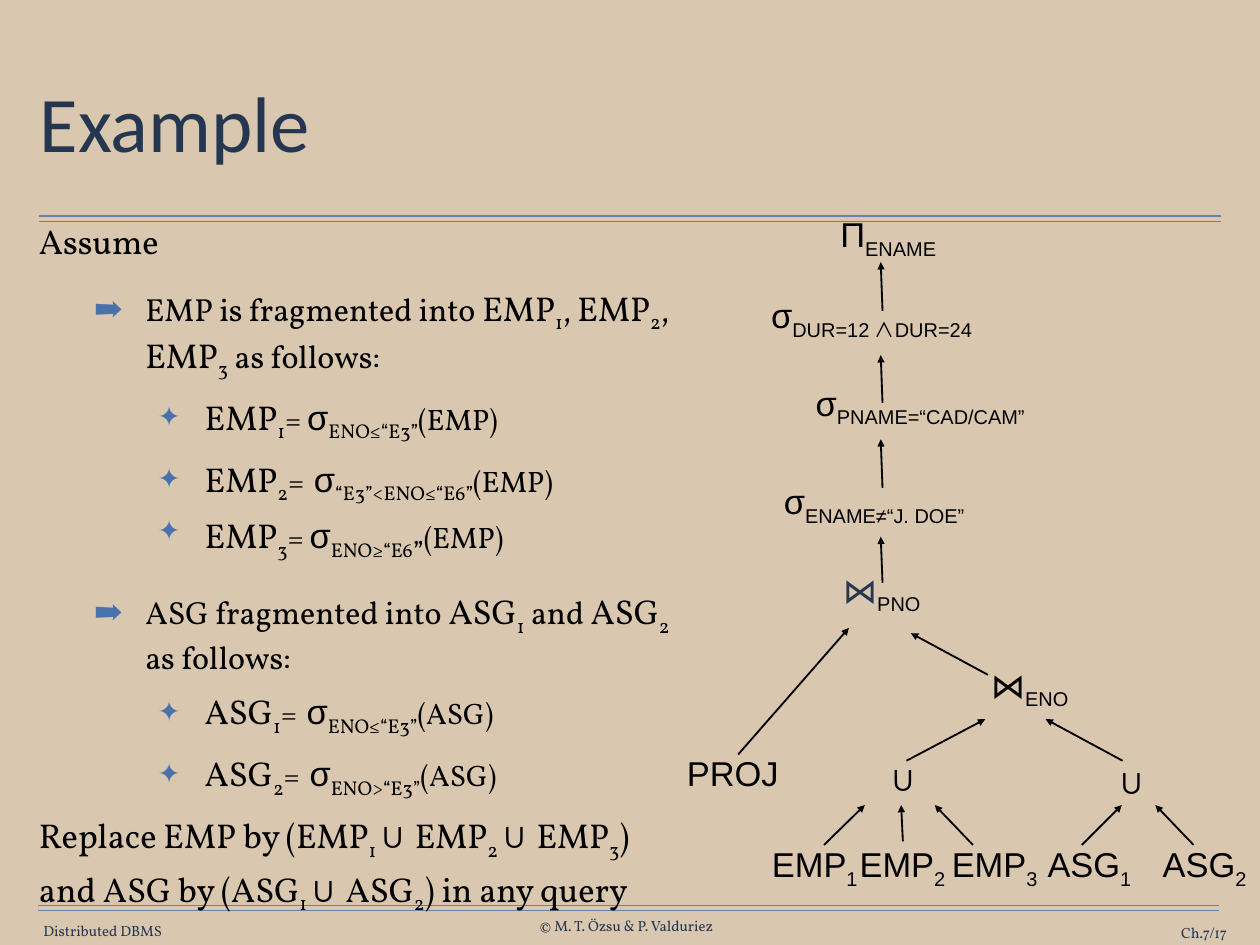
from lxml import etree
from pptx import Presentation
from pptx import util as u
from pptx.dml.color import RGBColor
from pptx.enum import shapes, text
from pptx.oxml import ns

TONES = {"sand": "D9C8AF", "rule": "6682AA", "ink": "263750",
         "title": "253750", "text": "000000", "mark": "4A71A9"}
GLYPHS = {"σ": "Arial", "∪": "Arial", "∧": "Noto Sans CJK JP", "⋈": "Vollkorn"}
SIZES = {0: 28, 1: 26, 2: 24}
INDENTS = {0: (0.4, -0.4), 1: (1.2, -0.57), 2: (1.87, -0.53)}
MARKS = {1: ("➡", 85), 2: ("✦", 80)}
AFTER = {0: 0.2, 1: 7.1, 2: 7.1}

NOTES = [
    (0, "Assume"),
    (1, "-EMP is fragmented into |EMP|_1|-, |EMP|_2|-, |EMP|_3|- as follows:"),
    (2, "EMP|_1|-= |σ|_ENO≤“E3”|-(EMP)"),
    (2, "EMP|_2|-=| σ|_“E3”<ENO≤“E6”|-(EMP)"),
    (2, "EMP|_3|-= |σ|_ENO≥“E6|^”|-(EMP)"),
    (1, "-ASG fragmented into |ASG|_1|- and |ASG|_2|- as follows:"),
    (2, "ASG|_1|-=| σ|_ENO≤“E3”|-(ASG)"),
    (2, "ASG|_2|-=| σ|_ENO>“E3”|-(ASG)"),
    (0, "Replace EMP by (EMP|_1 |∪ |EMP|_2 |∪ |EMP|_3|)"),
    (0, "and ASG by (ASG|_1 |∪ |ASG|_2|) in any query"),
]

NODES = [
    (1.71, 0.07, 1.63, 41.2, "Π|_ENAME"),
    (1.09, 0.98, 2.49, 41.2, "σ|_DUR=12 |_∧|_DUR=24"),
    (1.06, 1.97, 3.65, 41.2, "σ|_PNAME=“CAD/CAM”"),
    (1.2, 3.08, 2.33, 41.2, "σ|_ENAME≠“J. DOE”"),
    (1.96, 4.22, 0.98, 31.3, "⋈|_PNO"),
    (3.6, 5.29, 1.04, 31.3, "⋈|_ENO"),
    (0.24, 6.28, 1.06, 27, "PROJ"),
    (2.54, 6.28, 0.3, 31.3, "∪"),
    (5.12, 6.32, 0.3, 31.3, "∪"),
]
LEAVES = [(1.19, "EMP|_1"), (2.18, "EMP|_2"), (3.22, "EMP|_3"),
          (4.29, "ASG|_1"), (5.59, "ASG|_2")]
CHAIN = [(0.66, 1.21), (1.71, 2.25), (2.66, 3.21), (3.76, 4.28)]
JOINS = [(3.65, 5.32, 2.78, 4.85), (0.83, 6.22, 2.08, 4.79),
         (2.73, 6.29, 3.62, 5.82), (5.17, 6.29, 4.3, 5.82),
         (2.69, 7.2, 2.67, 6.79)]
SPREAD = [(1.8, 2.26), (3.48, 3.05), (4.71, 5.16), (5.97, 5.54)]


def add(parent, tag, **attrs):
    return etree.SubElement(parent, ns.qn(tag), attrs)


def style(run, size, font, tone):
    run.font.size = u.Pt(size)
    run.font.name = font
    run.font.color.rgb = RGBColor.from_string(TONES[tone])
    for tag in ("a:ea", "a:cs"):
        add(run.font._element, tag, typeface=font)


def write(para, marked, font, small=28, tone="text"):
    for part in marked.split("|"):
        kind = part[0] if part[0] in "_-^" else ""
        run = para.add_run()
        run.text = part[len(kind):]
        face = next((GLYPHS[c] for c in part if c in GLYPHS), font)
        style(run, {"-": small, "^": 40}.get(kind, 28), face, tone)
        if kind in ("_", "^"):
            run.font._element.set("baseline", "-25000")


def frame(slide, box, inset=0, wrap=False):
    body = slide.shapes.add_textbox(*map(u.Inches, box)).text_frame
    body.word_wrap = wrap
    body.margin_left = body.margin_right = u.Inches(inset)
    body.margin_top = body.margin_bottom = u.Inches(inset)
    return body


def line(slide, ends, tone, width, arrow=False):
    link = slide.shapes.add_connector(
        shapes.MSO_CONNECTOR.STRAIGHT, *map(u.Inches, ends))
    link.line.color.rgb = RGBColor.from_string(TONES[tone])
    link.line.width = u.Pt(width)
    if arrow:
        add(link.line._get_or_add_ln(), "a:tailEnd", type="triangle")
    add(link._element.spPr, "a:effectLst")


def rules(slide, left, top, width):
    for y in (top, top + 0.06):
        line(slide, (left, y, left + width, y), "rule", 1)


def label(slide, box, words, size, font, tone, align, inset=0, wrap=False):
    body = frame(slide, box, inset, wrap)
    body.vertical_anchor = text.MSO_ANCHOR.MIDDLE
    body.text = words
    para = body.paragraphs[0]
    para.alignment = align
    style(para.runs[0], size, font, tone)


def header(slide, left, top, width, height):
    label(slide, (left, top, width, height), "Example", 64, "Calibri",
          "title", text.PP_ALIGN.LEFT, 0.06, True)
    rules(slide, left + 0.05, top + 1.95, 13.34)


def footer(slide, left, top):
    rules(slide, left, top, 13.33)
    mid, right = text.PP_ALIGN.CENTER, text.PP_ALIGN.RIGHT
    for x, y, width, words, align in (
            (0.04, 0.19, 1.38, "Distributed DBMS", mid),
            (5.6, 0.13, 2.08, "© M. T. Özsu & P. Valduriez", mid),
            (11.88, 0.21, 1.54, "Ch.7/17", right)):
        label(slide, (left + x, top + y, width, 0.2), words, 12,
              "Vollkorn", "ink", align, wrap=align == right)


def bullet(props, level):
    char, size = MARKS[level]
    add(add(props, "a:buClr"), "a:srgbClr", val=TONES["mark"])
    add(props, "a:buSzPct", val=str(size * 1000))
    add(props, "a:buFont", typeface="Vollkorn")
    add(props, "a:buChar", char=char)


def notes(slide, box):
    body = frame(slide, box, 0.06, True)
    for i, (level, marked) in enumerate(NOTES):
        para = body.add_paragraph() if i else body.paragraphs[0]
        para.level = level
        props = para._p.get_or_add_pPr()
        left, hang = INDENTS[level]
        props.set("marL", str(u.Inches(left)))
        props.set("indent", str(u.Inches(hang)))
        if level:
            bullet(props, level)
        if level != 1:
            para.line_spacing = u.Pt(31.3 if i else 34.1)
        if i:
            para.space_before = u.Pt(12)
        para.space_after = u.Pt(AFTER[level] if i else 8.5)
        write(para, marked, "Vollkorn", SIZES[level])


def tree(slide, left, top):
    leaves = [(x, 7.38, 1.01, 27, marked) for x, marked in LEAVES]
    for x, y, width, pitch, marked in NODES + leaves:
        body = frame(slide, (left + x, top + y, width, pitch / 72))
        para = body.paragraphs[0]
        para.alignment = text.PP_ALIGN.CENTER
        para.line_spacing = u.Pt(pitch)
        write(para, marked, "Arial")
        if marked == "⋈|_PNO":
            para.runs[0].font.color.rgb = RGBColor.from_string(TONES["ink"])
    chain = [(2.46, low, 2.44, high) for high, low in CHAIN]
    spread = [(start, 7.24, end, 6.79) for start, end in SPREAD]
    for x1, y1, x2, y2 in chain + JOINS + spread:
        line(slide, (left + x1, top + y1, left + x2, top + y2),
             "text", 1.5, True)


def main():
    deck = Presentation()
    deck.slide_width, deck.slide_height = u.Inches(14.22), u.Inches(10.67)
    slide = deck.slides.add_slide(deck.slide_layouts[6])
    fill = slide.background.fill
    fill.solid()
    fill.fore_color.rgb = RGBColor.from_string(TONES["sand"])
    header(slide, 0.39, 0.49, 13.44, 1.76)
    footer(slide, 0.43, 10.22)
    notes(slide, (0.38, 2.42, 7.6, 7.8))
    tree(slide, 7.5, 2.3)
    deck.save("out.pptx")


if __name__ == "__main__":
    main()
